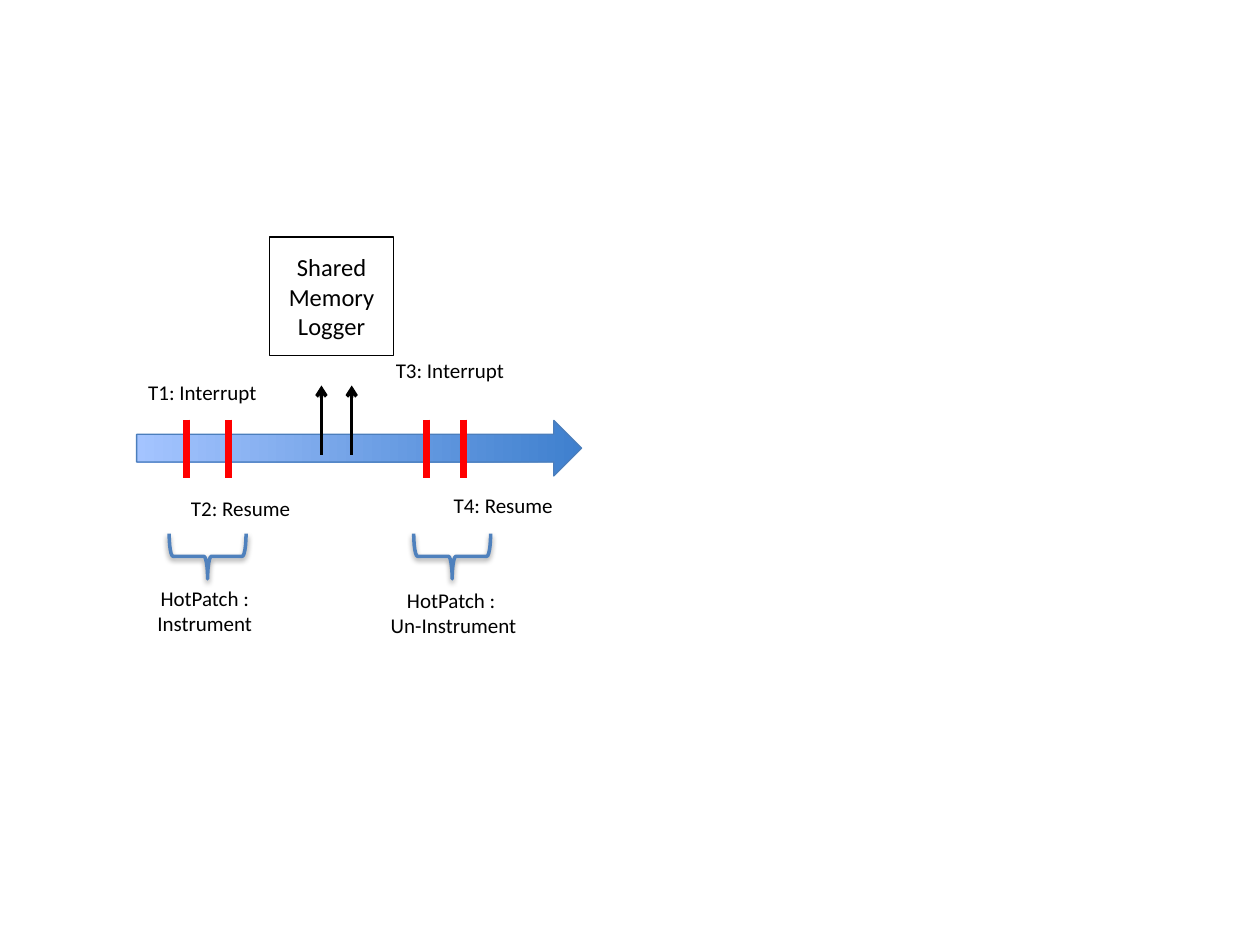
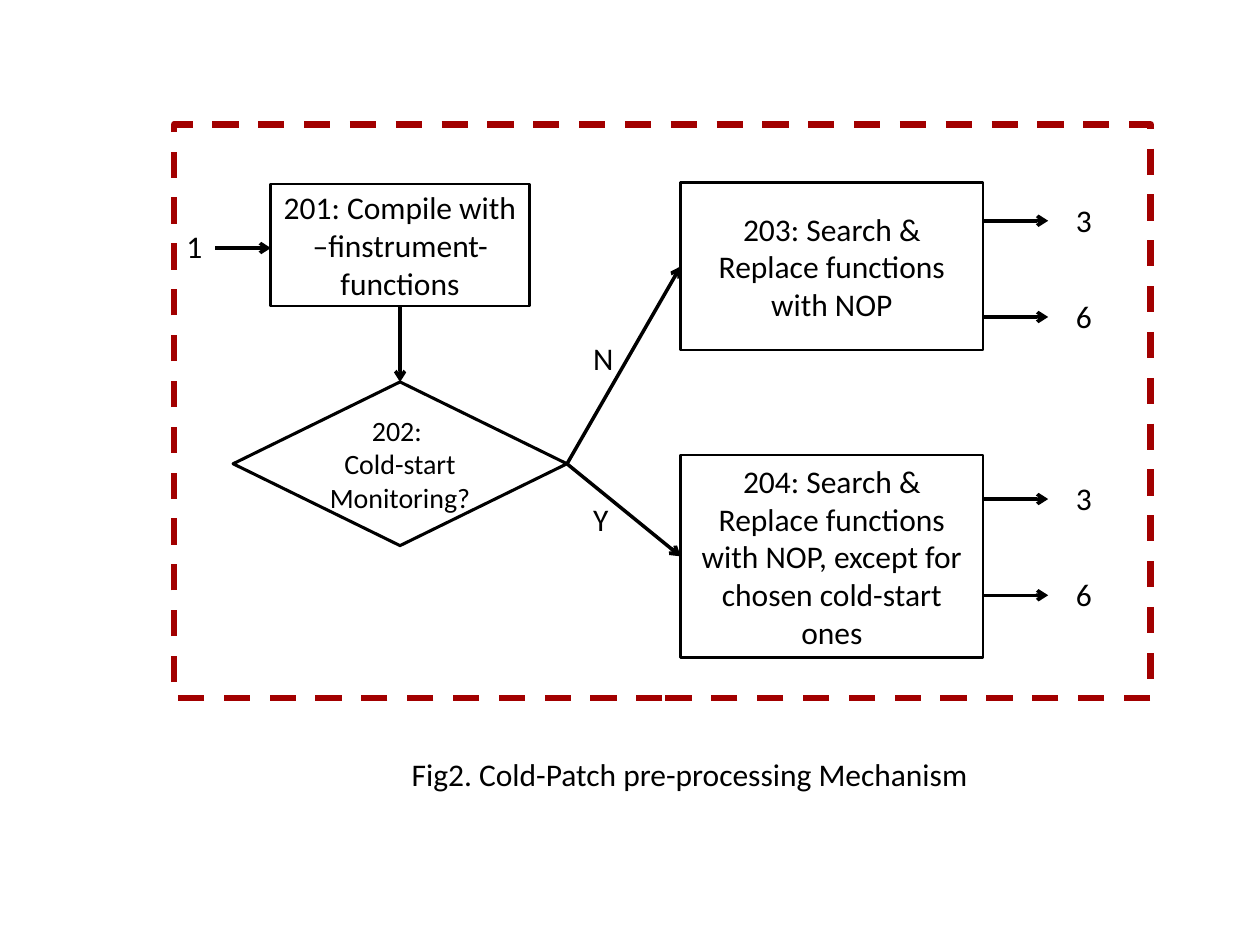
from lxml import etree
from pptx import Presentation
from pptx.dml.color import RGBColor
from pptx.enum import dml, shapes, text
from pptx.oxml import parse_xml
from pptx.oxml.ns import nsdecls, qn
from pptx.util import Cm, Pt

FONT = "Calibri"
BLACK, RED, DARK_RED = "000000", "FF0000", "A20000"
BLUE, ARROW_EDGE = "4F81BD", "4B7EBC"
ARROW_DARK, ARROW_LIGHT = "3F80CE", "A4C4FF"
KIND = shapes.MSO_SHAPE

# Slide 1: timeline (all lengths in cm)
TIMELINE = (6.68, 4.55, 1.12, 8.97)
TICKS_X, TICK_Y = (3.76, 4.6, 8.59, 9.35), (8.46, 9.63)
LOG_ARROWS_X, LOG_ARROW_Y = (6.48, 7.09), (9.17, 7.77)
LOGGER = ("Shared Memory\nLogger", (5.44, 4.78, 2.49, 2.39))
BRACES_X, BRACE_Y, BRACE_SIZE = (3.73, 8.66), 10.44, (0.91, 1.55)
TIMELINE_LABELS = [
    ("T1: Interrupt", (2.49, 7.52, 3.18, 0.76)),
    ("T2: Resume", (3.25, 9.86, 3.2, 0.76)),
    ("T3: Interrupt", (7.7, 7.09, 2.74, 0.76)),
    ("T4: Resume", (8.81, 9.8, 2.67, 0.76)),
    ("HotPatch : Instrument", (2.54, 11.68, 3.18, 1.27)),
    ("HotPatch : \nUn-Instrument", (7.09, 11.71, 4.11, 1.27)),
]

# Slide 2: flowchart
FRAME = (3.51, 2.51, 19.69, 11.56)
COMPILE = ("201: Compile with –finstrument-functions", (5.46, 3.71, 5.21, 2.46))
DECISION = ("202: \nCold-start Monitoring? ", (4.7, 7.7, 6.73, 3.3))
# text, place, height of the first exit
REPLACERS = [
    ("203: Search & Replace functions with NOP",
     (13.72, 3.68, 6.1, 3.38), 4.45),
    ("204: Search & Replace functions with NOP, except for chosen "
     "cold-start ones", (13.72, 9.17, 6.1, 4.09), 10.06),
]
EXITS, EXIT_GAP, EXIT_LENGTH = ("3", "6"), 1.94, 1.31
ENTRY_X, ENTRY_Y = 4.34, 5.0
FLOW_LABELS = [
    ("1", (3.51, 4.45, 0.84, 1.02)),
    ("N", (11.71, 6.71, 0.91, 1.02)),
    ("Y", (11.71, 9.96, 0.84, 1.02)),
    ("Fig2. Cold-Patch pre-processing Mechanism", (8.05, 15.09, 11.89, 1.02)),
]


def color(value):
    return RGBColor.from_string(value)


def write(sp, content, size, align):
    tf = sp.text_frame
    tf.text = content
    for p in tf.paragraphs:
        p.alignment = align
        for r in p.runs:
            r.font.name, r.font.size = FONT, Pt(size)
            r.font.color.rgb = color(BLACK)


def add_outline(s, kind, place, line, width, content="", size=18):
    """Unfilled preset shape, with centred text if there is any."""
    sp = s.shapes.add_shape(kind, *map(Cm, place))
    sp.shadow.inherit = False
    sp.fill.background()
    sp.line.color.rgb = color(line)
    sp.line.width = Pt(width)
    if content:
        write(sp, content, size, text.PP_ALIGN.CENTER)
        sp.text_frame.word_wrap = True
        sp.text_frame.vertical_anchor = text.MSO_ANCHOR.MIDDLE
    return sp


def add_label(s, content, place, size=18, centred=False):
    """Centred labels wrap; the others keep to one line."""
    sp = s.shapes.add_textbox(*map(Cm, place))
    align = text.PP_ALIGN.CENTER if centred else text.PP_ALIGN.LEFT
    write(sp, content, size, align)
    sp.text_frame.word_wrap = centred
    sp.text_frame.auto_size = text.MSO_AUTO_SIZE.SHAPE_TO_FIT_TEXT


def add_line(s, start, end, line=BLACK, width=2, arrow=True):
    cx = s.shapes.add_connector(
        shapes.MSO_CONNECTOR.STRAIGHT, *map(Cm, start + end))
    cx.line.color.rgb = color(line)
    cx.line.width = Pt(width)
    if arrow:
        ln = cx.line._get_or_add_ln()
        etree.SubElement(ln, qn("a:tailEnd"), type="arrow")
    etree.SubElement(cx._element.spPr, qn("a:effectLst"))


def add_brace(s, x):
    sp = add_outline(s, KIND.RIGHT_BRACE, (x, BRACE_Y) + BRACE_SIZE, BLUE, 2)
    sp.rotation = 90
    effects = sp._element.spPr.find(qn("a:effectLst"))
    effects.append(parse_xml(
        f'<a:outerShdw {nsdecls("a")} blurRad="40000" dist="20000" '
        f'dir="5400000" rotWithShape="0"><a:srgbClr val="{BLACK}">'
        '<a:alpha val="38000"/></a:srgbClr></a:outerShdw>'))


def build_timeline(s):
    # Time arrow, dark at its tip
    sp = add_outline(s, KIND.DOWN_ARROW, TIMELINE, ARROW_EDGE, 0.75)
    sp.rotation = 270
    sp.fill.gradient()
    sp.fill.gradient_angle = 90
    for stop, value in zip(sp.fill.gradient_stops, (ARROW_DARK, ARROW_LIGHT)):
        stop.color.rgb = color(value)

    # Interrupt and resume marks, writes to the logger
    top, bottom = TICK_Y
    for x in TICKS_X:
        add_line(s, (x, top), (x, bottom), RED, 4, arrow=False)
    start, end = LOG_ARROW_Y
    for x in LOG_ARROWS_X:
        add_line(s, (x, start), (x, end))
    content, place = LOGGER
    add_outline(s, KIND.RECTANGLE, place, BLACK, 0.75, content, 14)

    # Braces and labels
    for x in BRACES_X:
        add_brace(s, x)
    for content, place in TIMELINE_LABELS:
        add_label(s, content, place, 12, centred=True)


def build_flowchart(s):
    frame = add_outline(s, KIND.RECTANGLE, FRAME, DARK_RED, 3.75)
    frame.line.dash_style = dml.MSO_LINE.DASH

    # Compile step and decision
    content, compile_box = COMPILE
    add_outline(s, KIND.RECTANGLE, compile_box, BLACK, 1.5, content)
    content, decision = DECISION
    add_outline(s, KIND.DIAMOND, decision, BLACK, 1.75, content, 16)
    x, y, w, h = compile_box
    add_line(s, (ENTRY_X, ENTRY_Y), (x, ENTRY_Y))
    add_line(s, (x + w / 2, y + h), (x + w / 2, decision[1]))

    # Replace steps, each with its exits
    x, y, w, h = decision
    branch = (x + w, y + h / 2)
    for content, place, first_exit in REPLACERS:
        add_outline(s, KIND.RECTANGLE, place, BLACK, 1.5, content)
        x, y, w, h = place
        add_line(s, branch, (x, y + h / 2))
        for i, target in enumerate(EXITS):
            exit_y = first_exit + i * EXIT_GAP
            end_x = x + w + EXIT_LENGTH
            add_line(s, (x + w, exit_y), (end_x, exit_y))
            add_label(s, target, (end_x + 0.31, exit_y - 0.53, 0.84, 1.02))

    for content, place in FLOW_LABELS:
        add_label(s, content, place)


def main():
    prs = Presentation()
    prs.slide_width, prs.slide_height = Cm(25.4), Cm(19.05)
    for build in (build_timeline, build_flowchart):
        build(prs.slides.add_slide(prs.slide_layouts[6]))
    prs.save("out.pptx")


if __name__ == "__main__":
    main()
